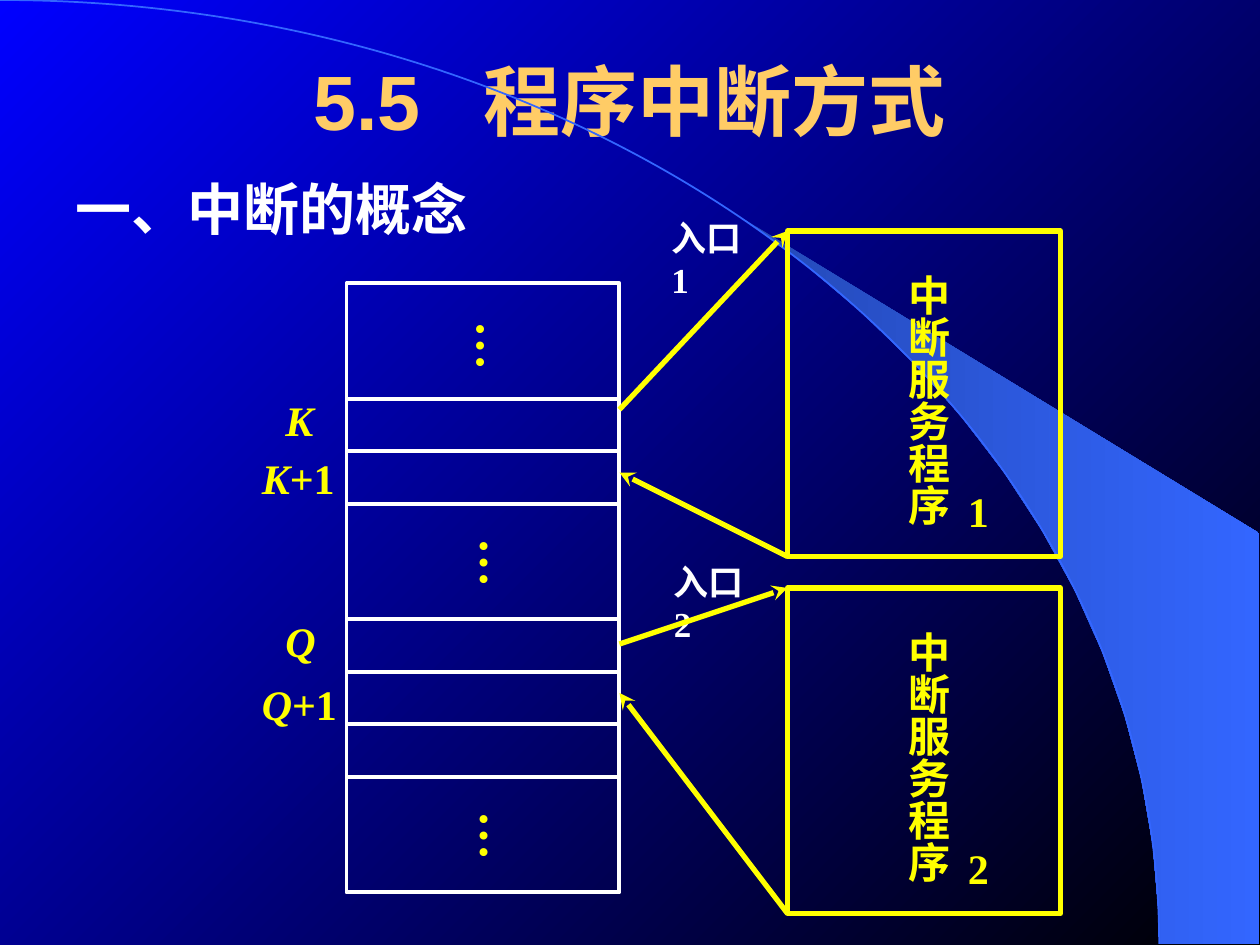
"""Build a slide on program interrupts: main program cells and two service routines."""
import math
import pptx
import pptx.util
import pptx.dml.color
import pptx.enum.shapes
import pptx.enum.text
import pptx.oxml

Pt = pptx.util.Pt
RECT = pptx.enum.shapes.MSO_SHAPE.RECTANGLE
LINE = pptx.enum.shapes.MSO_CONNECTOR.STRAIGHT
NS = 'xmlns:a="http://schemas.openxmlformats.org/drawingml/2006/main"'
WHITE, YELLOW = "FFFFFF", "FFFF00"


def ink(code):
    return pptx.dml.color.RGBColor.from_string(code)


def write(text, left, top, width, height, size, color, tail="", slant=False, vert=False, wrap=False):
    box = slide.shapes.add_textbox(Pt(left), Pt(top), Pt(width), Pt(height))
    frame = box.text_frame
    frame.word_wrap = wrap
    frame.auto_size = pptx.enum.text.MSO_AUTO_SIZE.SHAPE_TO_FIT_TEXT
    if vert:
        frame._txBody.bodyPr.set("vert", "eaVert")
    para = frame.paragraphs[0]
    para.text = text
    if tail:
        para.add_run().text = tail
    for run in para.runs:
        run.font.name = "Times New Roman"
        run.font.size = Pt(size)
        run.font.bold = True
        run.font.color.rgb = ink(color)
    para.runs[0].font.italic = slant


deck = pptx.Presentation()
deck.slide_width, deck.slide_height = Pt(720), Pt(540)
slide = deck.slides.add_slide(deck.slide_layouts[5])
shapes = slide.shapes

unit = Pt(1) / 100
wide, high = 66240, 53930
arc = [(wide * math.sin(math.radians(deg)), high * (1 - math.cos(math.radians(deg))))
       for deg in range(40, 91, 4)]
pen = shapes.build_freeform(42400, 12460, scale=unit)
pen.add_line_segments(arc[1:] + [(wide, high), (71930, high), (71930, 30460)], close=True)
fan = pen.convert_to_shape()
pen = shapes.build_freeform(0, 0, scale=unit)
pen.add_line_segments([(wide, high)], close=False)
curve = pen.convert_to_shape()
step = curve._element.xpath(".//a:lnTo")[0]
bend = "".join(f'<a:pt x="{x}" y="{y}"/>' for x, y in [(36580, 0), (wide, 24120), (wide, high)])
step.getparent().replace(step, pptx.oxml.parse_xml(f"<a:cubicBezTo {NS}>{bend}</a:cubicBezTo>"))
fan.shadow.inherit = curve.shadow.inherit = False
fan.line.fill.background()
curve.fill.background()
curve.line.color.rgb = ink("3366FF")
curve.line.width = Pt(1)

for fill, angle, codes in [(slide.background.fill, 315, ("0000FF", "000000")),
                           (fan.fill, 0, ("2449B6", "3366FF"))]:
    fill.gradient()
    fill.gradient_angle = angle
    for place, (stop, code) in enumerate(zip(fill.gradient_stops, codes)):
        stop.position = place
        stop.color.rgb = ink(code)

title = shapes.title
title.left, title.top, title.width, title.height = Pt(54), Pt(12), Pt(612), Pt(90)
title.text_frame.text = "5.5"
title.text_frame.vertical_anchor = pptx.enum.text.MSO_ANCHOR.MIDDLE
para = title.text_frame.paragraphs[0]
para.alignment = pptx.enum.text.PP_ALIGN.CENTER
for text in ("　", "程序中断方式"):
    para.add_run().text = text
for run, size in zip(para.runs, (44, 36, 44)):
    run.font.name, run.font.size, run.font.bold = "Arial", Pt(size), True
    run.font.color.rgb = ink("FFCC66")
write("一、中断的概念", 36, 96, 239, 45, 32, WHITE)

rects = []
top = 162
for height in (66, 30, 30, 66, 30, 30, 30, 66):
    rects.append((198, top, height, WHITE, 2.25))
    top += height
for top in (132, 336):
    rects.append((450, top, 186, YELLOW, 3))
for left, top, height, color, weight in rects:
    rect = shapes.add_shape(RECT, Pt(left), Pt(top), Pt(156), Pt(height))
    rect.shadow.inherit = False
    rect.fill.background()
    rect.line.color.rgb = ink(color)
    rect.line.width = Pt(weight)

for num, top, left, entry in [("1", 132, 376.5, 120), ("2", 336, 378, 317)]:
    write("中断服务程序", 505, top + 18, 43, 152, 24, YELLOW, vert=True)
    write(num, 546, top + 142, 27, 36, 24, YELLOW)
    write("入口" + num, left, entry, 60, 31, 20, WHITE, wrap=True)

for ends in [(354, 234, 450, 132), (450, 318, 354, 270),
             (354, 368, 450, 336), (450, 522, 354, 396)]:
    arrow = shapes.add_connector(LINE, *map(Pt, ends))
    arrow.line.color.rgb = ink(YELLOW)
    arrow.line.width = Pt(3)
    arrow.line._get_or_add_ln().append(pptx.oxml.parse_xml(f'<a:tailEnd {NS} type="stealth"/>'))
    arrow._element.spPr.append(pptx.oxml.parse_xml(f"<a:effectLst {NS}/>"))

for left, top in [(256, 176.5), (258, 300.5), (258, 456.5)]:
    write("…", left, top, 48, 35, 28, YELLOW, vert=True)

for name, top, low in [("K", 222, 255), ("Q", 348, 384)]:
    write(name, 156, top, 31, 36, 24, YELLOW, slant=True)
    write(name, 142.5, low, 60, 36, 24, YELLOW, tail="+1", slant=True)

deck.save("out.pptx")
